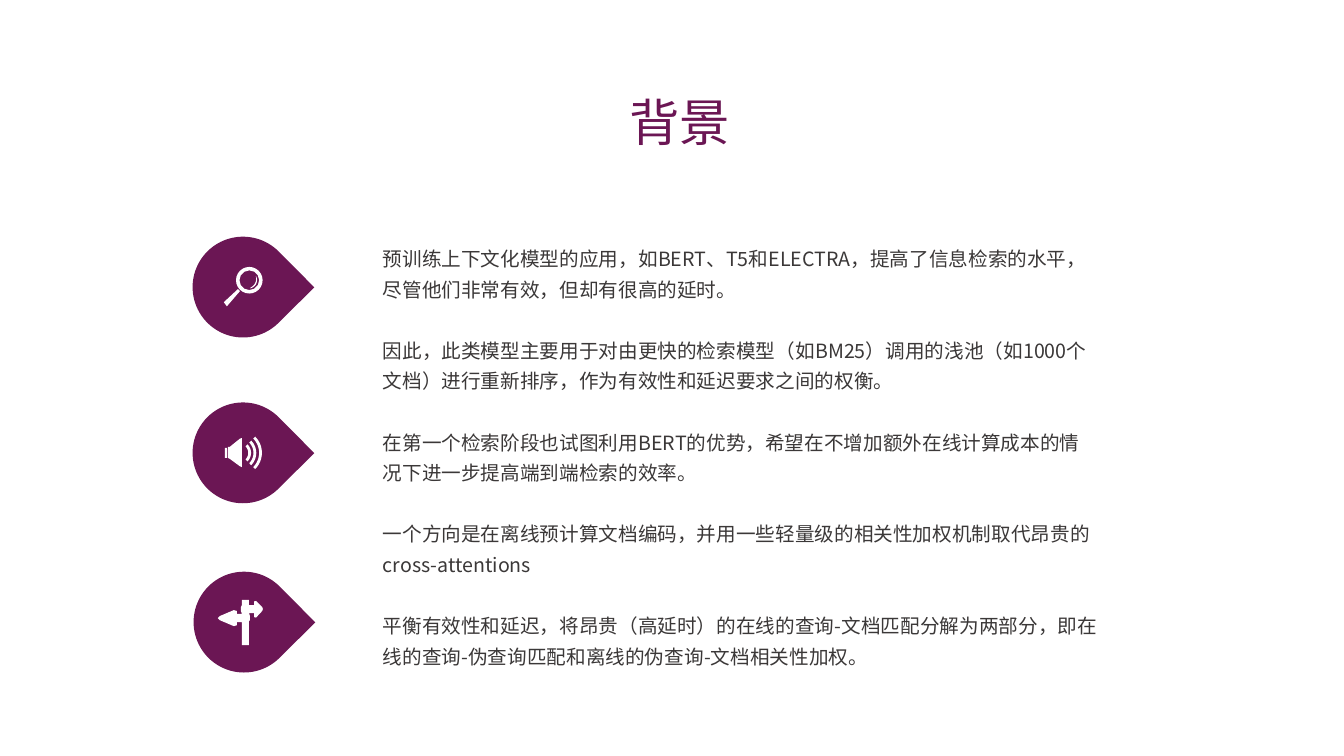
import math

from pptx import Presentation
from pptx import util as u
from pptx.dml.color import RGBColor
from pptx.enum import shapes, text
from pptx.oxml.ns import qn

Pt = u.Pt
PLUM = RGBColor(0x6B, 0x16, 0x54)
CHARCOAL = RGBColor(0x3B, 0x38, 0x38)
WHITE = RGBColor(0xFF, 0xFF, 0xFF)
FONT = "Noto Sans CJK SC"
DROP = 72  # side of a teardrop badge

POINTS = [
    "预训练上下文化模型的应用，如BERT、T5和ELECTRA，提高了信息检索的水平，尽管他们非常有效，但却有很高的延时。",
    "因此，此类模型主要用于对由更快的检索模型（如BM25）调用的浅池（如1000个文档）进行重新排序，作为有效性和延迟要求之间的权衡。",
    "在第一个检索阶段也试图利用BERT的优势，希望在不增加额外在线计算成本的情况下进一步提高端到端检索的效率。",
    "一个方向是在离线预计算文档编码，并用一些轻量级的相关性加权机制取代昂贵的cross-attentions",
    "平衡有效性和延迟，将昂贵（高延时）的在线的查询-文档匹配分解为两部分，即在线的查询-伪查询匹配和离线的伪查询-文档相关性加权。",
]

# Icon outlines, in points from the corner of the badge
HANDLE = [(22.3, 46.8), (24.5, 49.7), (33.8, 38.9), (32.4, 37.4)]
SPEAKER_CONE = [(25.2, 31.7), (26.6, 31.7), (33.8, 25.9), (35.3, 25.4),
                (35.3, 46.2), (33.8, 45.6), (26.6, 40.3), (25.2, 39.6)]
SIGNPOST = [(34.6, 20.2), (39.6, 20.2), (39.6, 23.8), (43.2, 23.8),
            (43.2, 21.2), (44.6, 20.9), (49, 25.2), (49.5, 26.6),
            (49, 28.1), (44.6, 32.8), (43.2, 32.4), (43.2, 29.5),
            (39.6, 29.5), (40.3, 31.7), (40.3, 34.6), (39.6, 35.3),
            (39.6, 52.4), (34.6, 52.4), (34.6, 36), (31, 36),
            (31, 38.2), (28.8, 38.9), (18.7, 34.6), (17.3, 33.1),
            (18.7, 31.7), (28.8, 27.4), (31, 28.1), (31, 30.2),
            (34.6, 30.2), (33.8, 28.1), (33.8, 25.2), (34.6, 23.8)]


def set_font(p, size, color):
    p.font.size = Pt(size)
    p.font.name = FONT
    p.font.color.rgb = color
    latin = p.font._element.find(qn("a:latin"))
    ea = latin.makeelement(qn("a:ea"), {"typeface": FONT})
    latin.addnext(ea)


def paint(sp, color):
    sp.shadow.inherit = False
    sp.fill.solid()
    sp.fill.fore_color.rgb = color
    sp.line.fill.background()


def add_preset(s, kind, x, y, w, h, color):
    sp = s.shapes.add_shape(kind, Pt(x), Pt(y), Pt(w), Pt(h))
    paint(sp, color)
    return sp


def add_outline(s, x, y, points):
    """Draw a closed white outline whose points are relative to (x, y)."""
    start, *rest = [(Pt(x + px), Pt(y + py)) for px, py in points]
    builder = s.shapes.build_freeform(*start)
    builder.add_line_segments(rest, close=True)
    paint(builder.convert_to_shape(), WHITE)


def arc(cx, cy, radius, start, end, steps=16):
    angles = [math.radians(start + (end - start) * i / steps)
              for i in range(steps + 1)]
    return [(cx + radius * math.cos(a), cy + radius * math.sin(a))
            for a in angles]


def add_magnifier(s, x, y):
    ring = add_preset(s, shapes.MSO_SHAPE.DONUT, x + 31, y + 21.6,
                      19, 19, WHITE)
    ring.adjustments[0] = 0.13
    add_outline(s, x, y, HANDLE)
    glint = arc(40, 31, 6, -30, 80) + arc(38.4, 30, 7, 65, -15)
    add_outline(s, x, y, glint)


def add_speaker(s, x, y):
    add_outline(s, x, y, SPEAKER_CONE)
    add_preset(s, shapes.MSO_SHAPE.ROUNDED_RECTANGLE, x + 23, y + 32.4,
               1.6, 7.2, WHITE)
    for radius in (8.6, 12.4, 16.4):
        wave = (arc(33.1, 36, radius, -45, 45)
                + arc(33.1, 36, radius - 2, 45, -45))
        add_outline(s, x, y, wave)


def add_signpost(s, x, y):
    add_outline(s, x, y, SIGNPOST)


def add_badge(s, x, y, add_icon):
    drop = add_preset(s, shapes.MSO_SHAPE.TEAR, x, y, DROP, DROP, PLUM)
    drop.rotation = 45.2
    add_icon(s, x, y)


def add_title(s, x, y, w, h):
    sp = s.shapes.title
    sp.left, sp.top, sp.width, sp.height = Pt(x), Pt(y), Pt(w), Pt(h)
    tf = sp.text_frame
    tf.text = "背景"
    tf.auto_size = text.MSO_AUTO_SIZE.NONE
    tf.vertical_anchor = text.MSO_ANCHOR.BOTTOM
    p = tf.paragraphs[0]
    p.alignment = text.PP_ALIGN.CENTER
    p.line_spacing = 0.9
    set_font(p, 36, PLUM)


def add_body(s, x, y, w, h):
    tf = s.shapes.add_textbox(Pt(x), Pt(y), Pt(w), Pt(h)).text_frame
    tf.word_wrap = True
    tf.auto_size = text.MSO_AUTO_SIZE.SHAPE_TO_FIT_TEXT
    tf.text = "\n".join(POINTS)
    for i, p in enumerate(tf.paragraphs):
        p.line_spacing = 1.3
        p.space_before = Pt(21.9 if i else 0)
        set_font(p, 14, CHARCOAL)


def main():
    prs = Presentation()
    prs.slide_width, prs.slide_height = Pt(960), Pt(540)
    s = prs.slides.add_slide(prs.slide_layouts[5])
    add_title(s, 172.8, 46, 625.6, 66.2)
    add_body(s, 266.4, 167.8, 525.6, 313.9)
    add_badge(s, 137.6, 169.1, add_magnifier)
    add_badge(s, 137.6, 287.5, add_speaker)
    add_badge(s, 138.3, 408.4, add_signpost)
    prs.save("out.pptx")


if __name__ == "__main__":
    main()
